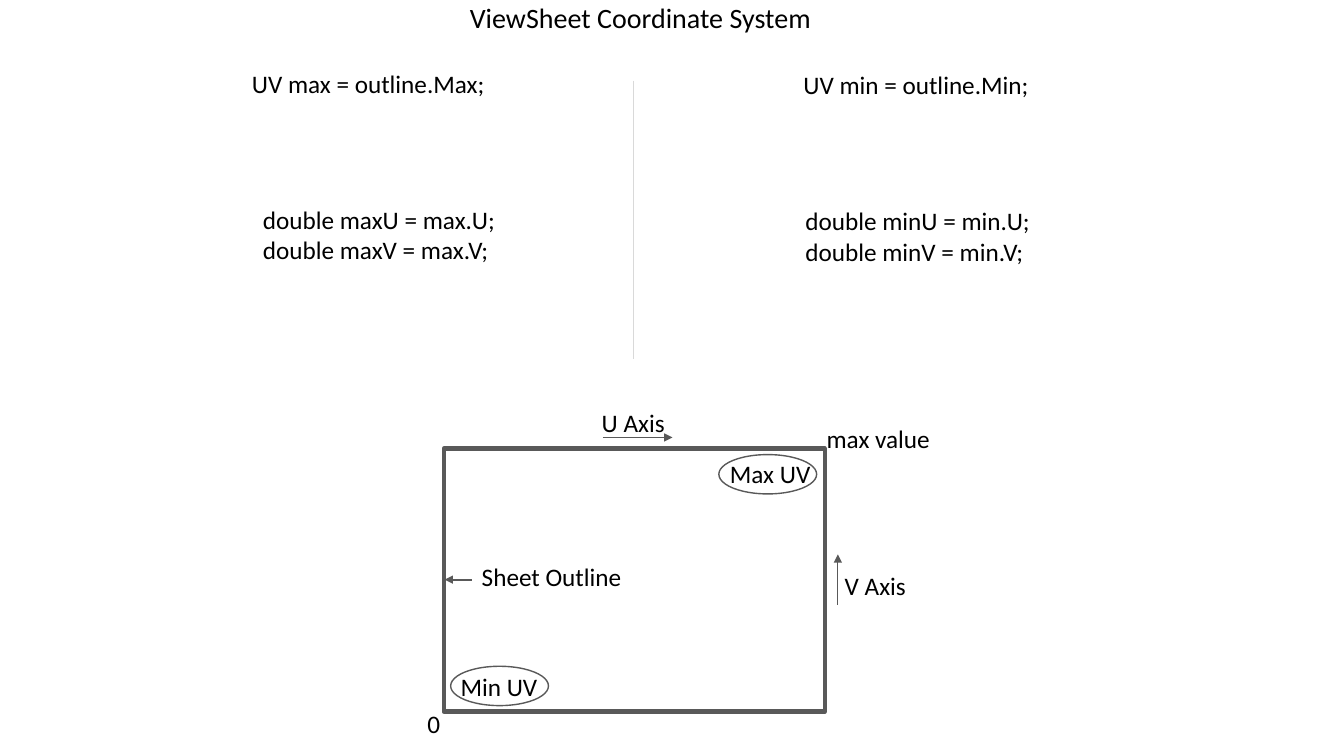
from lxml import etree
from pptx import Presentation
from pptx.dml.color import RGBColor
from pptx.enum import shapes, text
from pptx.oxml import ns
from pptx.util import Inches, Pt

BLACK, GRAY, LIGHT_GRAY = "000000", "595959", "D9D9D9"


def color(value):
    return RGBColor.from_string(value)


def write(shape, lines, size):
    frame = shape.text_frame
    frame.word_wrap = False
    frame.auto_size = text.MSO_AUTO_SIZE.SHAPE_TO_FIT_TEXT
    frame.vertical_anchor = text.MSO_ANCHOR.TOP
    frame.text = lines
    for paragraph in frame.paragraphs:
        paragraph.alignment = text.PP_ALIGN.LEFT
        paragraph.font.name = "Calibri"
        paragraph.font.size = Pt(size)
        paragraph.font.color.rgb = color(BLACK)


presentation = Presentation()
presentation.slide_width = Inches(13.33)
presentation.slide_height = Inches(7.5)
slide = presentation.slides.add_slide(presentation.slide_layouts[5])

# Title
title = slide.shapes.title
title.left, title.top = Inches(4.56), Inches(-0.05)
title.width, title.height = Inches(3.62), Inches(0.44)
write(title, "ViewSheet Coordinate System", 20)

# Sheet outline and the ovals around its two corner points
outlines = [
    (shapes.MSO_SHAPE.RECTANGLE, 4.4, 4.45, 3.78, 2.61, 3),
    (shapes.MSO_SHAPE.OVAL, 4.47, 6.61, 0.97, 0.39, 1),
    (shapes.MSO_SHAPE.OVAL, 7.13, 4.51, 0.97, 0.39, 1),
]
for kind, left, top, width, height, weight in outlines:
    shape = slide.shapes.add_shape(
        kind, Inches(left), Inches(top), Inches(width), Inches(height))
    shape.shadow.inherit = False
    shape.fill.background()
    shape.line.color.rgb = color(GRAY)
    shape.line.width = Pt(weight)

# Divider, axis arrows and outline pointer
lines = [
    (6.28, 0.8, 6.28, 3.56, LIGHT_GRAY, 0.5, False),
    (5.98, 4.34, 6.67, 4.34, GRAY, 0.5, True),
    (8.31, 6, 8.31, 5.5, GRAY, 0.5, True),
    (4.68, 5.75, 4.41, 5.75, GRAY, 1.5, True),
]
for x1, y1, x2, y2, line_color, weight, has_arrow in lines:
    connector = slide.shapes.add_connector(
        shapes.MSO_CONNECTOR.STRAIGHT,
        Inches(x1), Inches(y1), Inches(x2), Inches(y2))
    connector.line.color.rgb = color(line_color)
    connector.line.width = Pt(weight)
    if has_arrow:
        etree.SubElement(connector.line._get_or_add_ln(),
                         ns.qn("a:tailEnd"), type="triangle")
    etree.SubElement(connector._element.spPr, ns.qn("a:effectLst"))

# Code snippets and diagram labels
labels = [
    ("UV max = outline.Max;", 2.4, 0.63, 2.54, 0.4),
    ("UV min = outline.Min;", 7.87, 0.64, 2.46, 0.4),
    ("double maxU = max.U;\ndouble maxV = max.V;", 2.51, 1.98, 2.53, 0.71),
    ("double minU = min.U;\ndouble minV = min.V;", 7.89, 1.99, 2.46, 0.71),
    ("Max UV", 7.14, 4.5, 1.01, 0.4),
    ("Min UV", 4.47, 6.61, 0.97, 0.4),
    ("U Axis", 5.87, 3.99, 0.83, 0.4),
    ("V Axis", 8.28, 5.61, 0.83, 0.4),
    ("0", 4.14, 6.98, 0.33, 0.4),
    ("max value", 8.1, 4.15, 1.25, 0.4),
    ("Sheet Outline", 4.68, 5.52, 1.6, 0.4),
]
for label, left, top, width, height in labels:
    box = slide.shapes.add_textbox(
        Inches(left), Inches(top), Inches(width), Inches(height))
    write(box, label, 18)

presentation.save("out.pptx")
